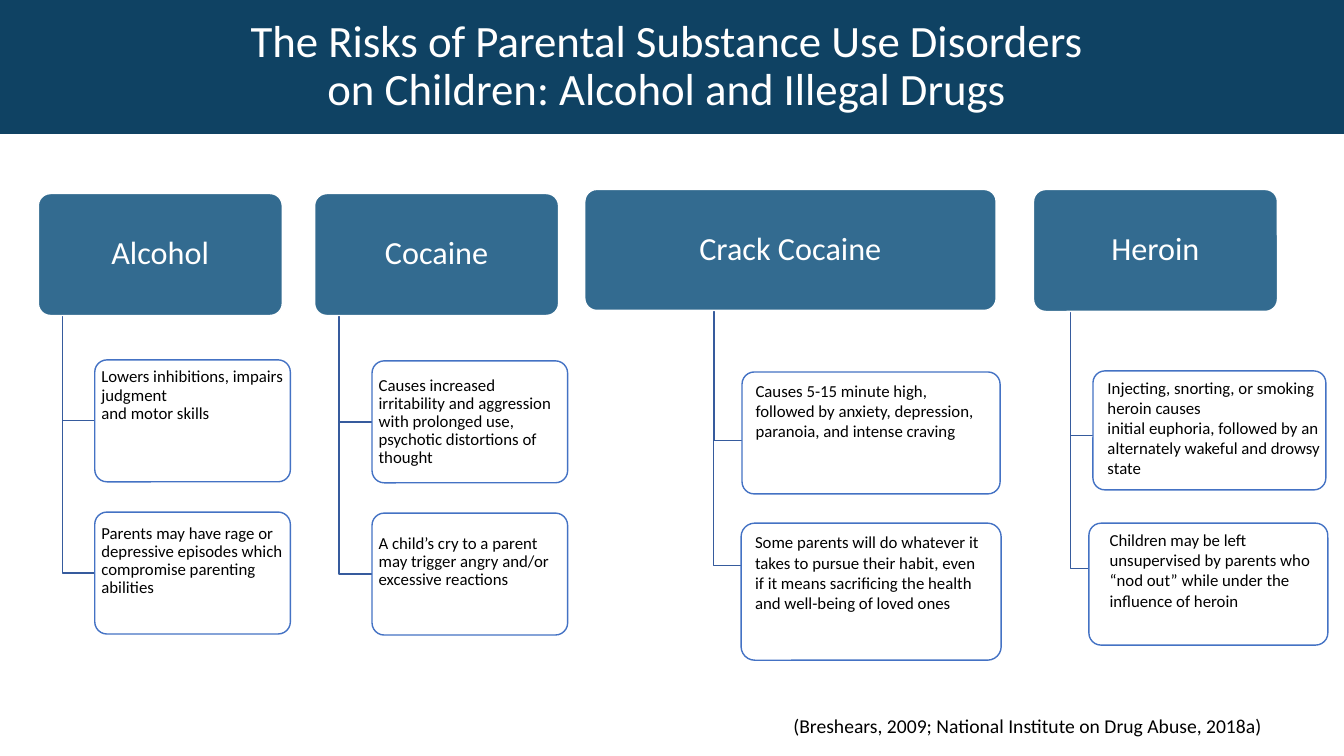
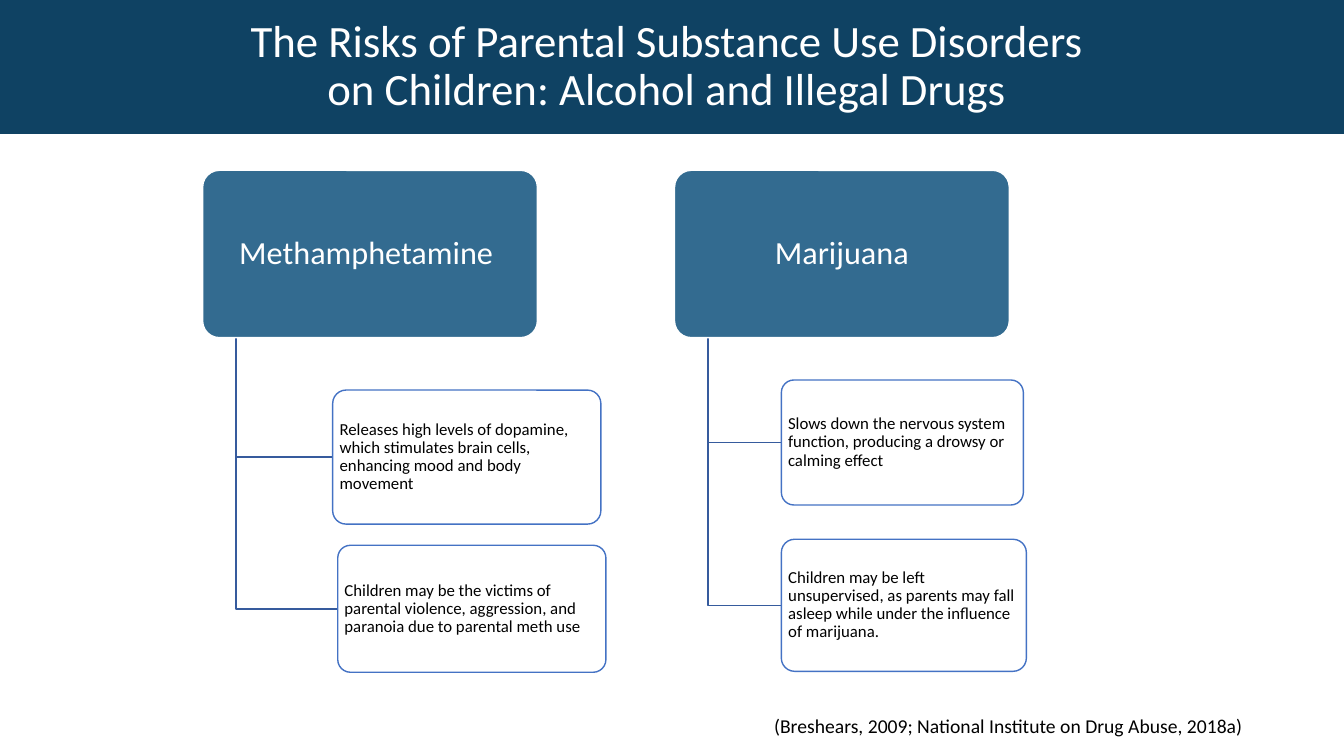
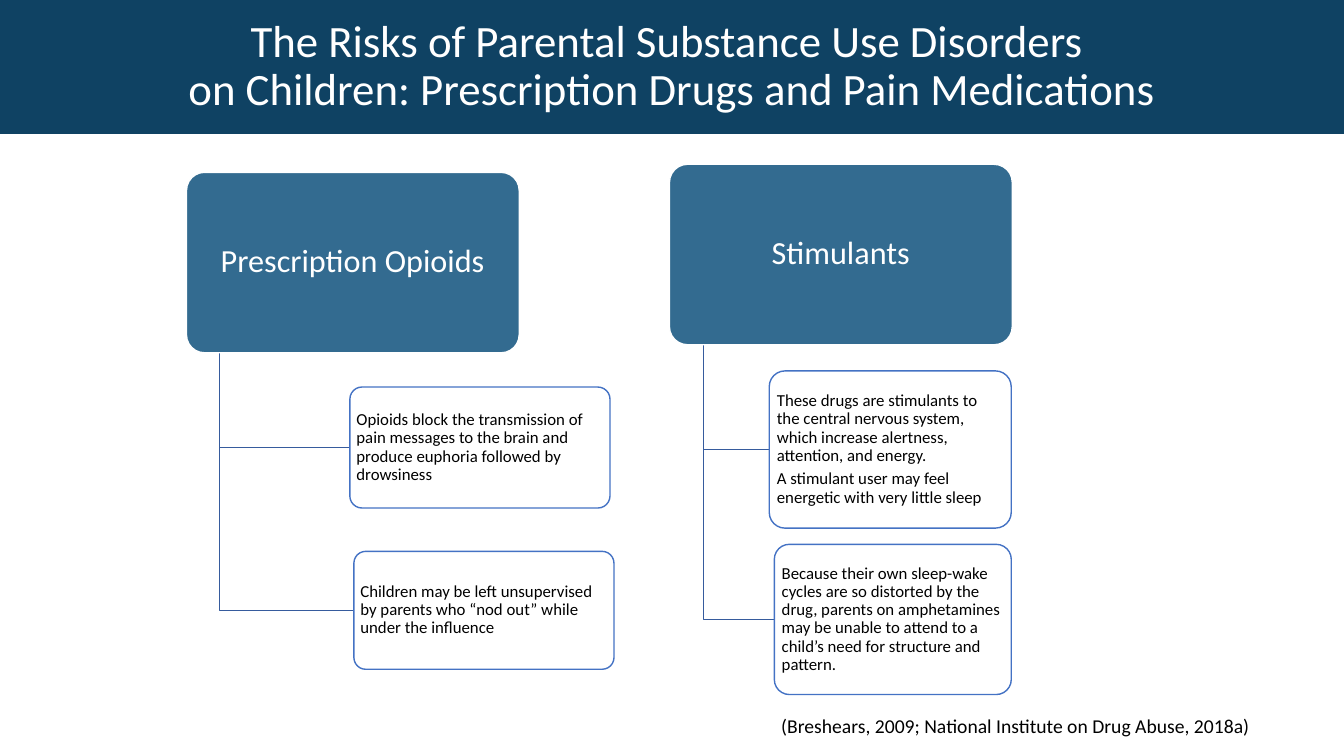
from dataclasses import dataclass
from lxml.etree import SubElement
from pptx import Presentation
from pptx.dml.color import RGBColor
from pptx.enum.shapes import MSO_SHAPE
from pptx.enum.text import MSO_ANCHOR, PP_ALIGN
from pptx.oxml.ns import qn
from pptx.util import Inches, Pt

NAVY = RGBColor(0x0F, 0x42, 0x63)
STEEL = RGBColor(0x33, 0x6B, 0x90)
BRANCH = RGBColor(0x36, 0x5B, 0x9D)
OUTLINE = RGBColor(0x44, 0x72, 0xC4)
WHITE = RGBColor(0xFF, 0xFF, 0xFF)
BLACK = RGBColor(0x00, 0x00, 0x00)
FONT = "Calibri"

TITLE_START = "The Risks of Parental Substance Use Disorders \non Children: "
CITATION = "(Breshears, 2009; National Institute on Drug Abuse, 2018a)"
STANDARD = (0.1, 0.05, 0.1, 0.05)
TIGHT = (0.03, 0.02, 0.03, 0.02)
SNUG = (0.05, 0.03, 0.05, 0.03)


@dataclass
class Effect:
    box: tuple
    text: tuple
    insets: tuple = TIGHT
    anchor: MSO_ANCHOR = MSO_ANCHOR.MIDDLE
    spacing: float = 0.9
    branch_y: float = None


@dataclass
class Substance:
    name: str
    box: tuple
    effects: tuple
    trunk_x: float = None


@dataclass
class Page:
    topic: str
    citation_x: float
    substances: tuple


def upper(box, text, insets, spacing=0.9, branch_y=None):
    return Effect(box, (text,), insets, MSO_ANCHOR.TOP, spacing, branch_y)


PAGES = (
    Page("Alcohol and Illegal Drugs ", 7.77, (
        Substance("Alcohol", (0.38, 1.92, 2.42, 1.21), (
            upper((0.94, 3.57, 1.94, 1.21),
                  "Lowers inhibitions, impairs judgment \nand motor skills",
                  (0.03, 0.05, 0.03, 0.02)),
            upper((0.94, 5.08, 1.94, 1.21),
                  "Parents may have rage or depressive episodes which "
                  "compromise parenting abilities",
                  (0.03, 0.09, 0.03, 0.02)))),
        Substance("Cocaine", (3.12, 1.92, 2.42, 1.21), (
            Effect((3.69, 3.58, 1.94, 1.21),
                   ("Causes increased irritability and aggression with "
                    "prolonged use, psychotic distortions of thought",)),
            upper((3.69, 5.09, 1.94, 1.21),
                  "A child’s cry to a parent may trigger angry and/or "
                  "excessive reactions",
                  (0.03, 0.18, 0.03, 0.02)))),
        Substance("Crack Cocaine", (5.8, 1.88, 4.08, 1.2), (
            upper((7.36, 3.69, 2.56, 1.21),
                  "Causes 5-15 minute high, followed by anxiety, depression, "
                  "paranoia, and intense craving",
                  STANDARD, 1.0, 4.37),
            upper((7.35, 5.19, 2.58, 1.36),
                  "Some parents will do whatever it takes to pursue their "
                  "habit, even if it means sacrificing the health and "
                  "well-being of loved ones",
                  STANDARD, 1.0, 5.61)), 7.08),
        Substance("Heroin", (10.25, 1.88, 2.42, 1.21), (
            upper((10.84, 3.68, 2.31, 1.18),
                  "Injecting, snorting, or smoking heroin causes \ninitial "
                  "euphoria, followed by an alternately wakeful and drowsy state",
                  (0.11, 0.03, 0, 0.02), 1.0, 4.32),
            upper((10.8, 5.19, 2.37, 1.21),
                  "Children may be left unsupervised by parents who “nod out” "
                  "while under the influence of heroin",
                  (0.17, 0.03, 0.1, 0.02), 1.0, 5.64)), 10.62))),
    Page("Alcohol and Illegal Drugs ", 7.58, (
        Substance("Methamphetamine ", (2.01, 1.69, 3.32, 1.66), (
            Effect((3.3, 3.87, 2.66, 1.33),
                   ("Releases high levels of dopamine, which stimulates brain "
                    "cells, enhancing mood and body movement",)),
            Effect((3.35, 5.41, 2.66, 1.26),
                   ("Children may be the victims of parental violence, "
                    "aggression, and paranoia due to parental meth use",)))),
        Substance("Marijuana", (6.69, 1.69, 3.32, 1.66), (
            Effect((7.75, 3.77, 2.4, 1.24),
                   ("Slows down the nervous system function, producing a "
                    "drowsy or calming effect",)),
            Effect((7.75, 5.35, 2.43, 1.31),
                   ("Children may be left unsupervised, as parents may fall "
                    "asleep while under the influence of marijuana.",)))))),
    Page("Prescription Drugs and Pain Medications", 7.65, (
        Substance("Prescription Opioids", (1.85, 1.71, 3.3, 1.79), (
            Effect((3.47, 3.84, 2.58, 1.2),
                   ("Opioids block the transmission of pain messages to the "
                    "brain and produce euphoria followed by drowsiness",)),
            Effect((3.51, 5.47, 2.58, 1.17),
                   ("Children may be left unsupervised by parents who “nod "
                    "out” while under the influence",)))),
        Substance("Stimulants", (6.64, 1.63, 3.4, 1.79), (
            Effect((7.63, 3.68, 2.4, 1.56),
                   ("These drugs are stimulants to the central nervous system, "
                    "which increase alertness, attention, and energy.",
                    "A stimulant user may feel energetic with very little sleep")),
            Effect((7.68, 5.4, 2.35, 1.49),
                   ("Because their own sleep-wake cycles are so distorted by "
                    "the drug, parents on amphetamines may be unable to attend "
                    "to a child’s need for structure and pattern.",)))))),
)


def apply_format(target, values):
    for name, value in values.items():
        setattr(target, name, value)


def write(shape, texts, size, color, align=PP_ALIGN.LEFT,
          anchor=MSO_ANCHOR.MIDDLE, insets=STANDARD, spacing=0.9):
    frame = shape.text_frame
    left, top, right, bottom = map(Inches, insets)
    apply_format(frame, {
        "word_wrap": True, "vertical_anchor": anchor,
        "margin_left": left, "margin_top": top,
        "margin_right": right, "margin_bottom": bottom})
    for index, text in enumerate(texts):
        paragraph = frame.add_paragraph() if index else frame.paragraphs[0]
        paragraph.text = text
        apply_format(paragraph, {
            "alignment": align, "line_spacing": spacing,
            "space_before": Pt(4 if index else 0)})
        for run in paragraph.runs:
            apply_format(run.font, {"name": FONT, "size": Pt(size)})
            run.font.color.rgb = color


def outline(shape, color):
    shape.shadow.inherit = False
    shape.line.color.rgb = color
    shape.line.width = Pt(1)


def add_card(slide, box, fill, line):
    card = slide.shapes.add_shape(MSO_SHAPE.ROUNDED_RECTANGLE, *map(Inches, box))
    card.adjustments[0] = 0.1
    card.fill.solid()
    card.fill.fore_color.rgb = fill
    outline(card, line)
    return card


def add_branch(slide, trunk_x, top, end_x, end_y):
    start, corner, end = (
        (Inches(x), Inches(y))
        for x, y in ((trunk_x, top), (trunk_x, end_y), (end_x, end_y)))
    builder = slide.shapes.build_freeform(*start)
    builder.add_line_segments([corner, end], close=False)
    branch = builder.convert_to_shape()
    branch.fill.background()
    outline(branch, BRANCH)


def add_effect(slide, effect):
    card = add_card(slide, effect.box, WHITE, OUTLINE)
    fill_color = card.element.spPr.find(".//" + qn("a:srgbClr"))
    SubElement(fill_color, qn("a:alpha")).set("val", "90000")
    write(card, effect.text, 12, BLACK, anchor=effect.anchor,
          insets=effect.insets, spacing=effect.spacing)


def add_substance(slide, substance):
    left, top, width, height = substance.box
    trunk_x = substance.trunk_x or left + width / 10
    for effect in substance.effects:
        x, y, _, depth = effect.box
        add_branch(slide, trunk_x, top + height, x,
                   effect.branch_y or y + depth / 2)
        add_effect(slide, effect)
    heading = add_card(slide, substance.box, STEEL, WHITE)
    write(heading, [substance.name], 23, WHITE, PP_ALIGN.CENTER, insets=SNUG)


def add_title(slide, topic):
    band = slide.shapes.add_shape(
        MSO_SHAPE.RECTANGLE, 0, 0, Inches(13.33), Inches(1.33))
    band.shadow.inherit = False
    band.fill.solid()
    band.fill.fore_color.rgb = NAVY
    band.line.fill.background()
    write(band, [TITLE_START + topic], 32, WHITE, PP_ALIGN.CENTER)


def add_citation(slide, left):
    citation = slide.shapes.add_textbox(
        Inches(left), Inches(7.03), Inches(5.36), Inches(0.34))
    write(citation, [CITATION], 14, BLACK, anchor=MSO_ANCHOR.TOP, spacing=1.0)


def main():
    deck = Presentation()
    apply_format(deck, {"slide_width": Inches(13.33), "slide_height": Inches(7.5)})
    for page in PAGES:
        slide = deck.slides.add_slide(deck.slide_layouts[6])
        add_title(slide, page.topic)
        for substance in page.substances:
            add_substance(slide, substance)
        add_citation(slide, page.citation_x)
    deck.save("out.pptx")


if __name__ == "__main__":
    main()
